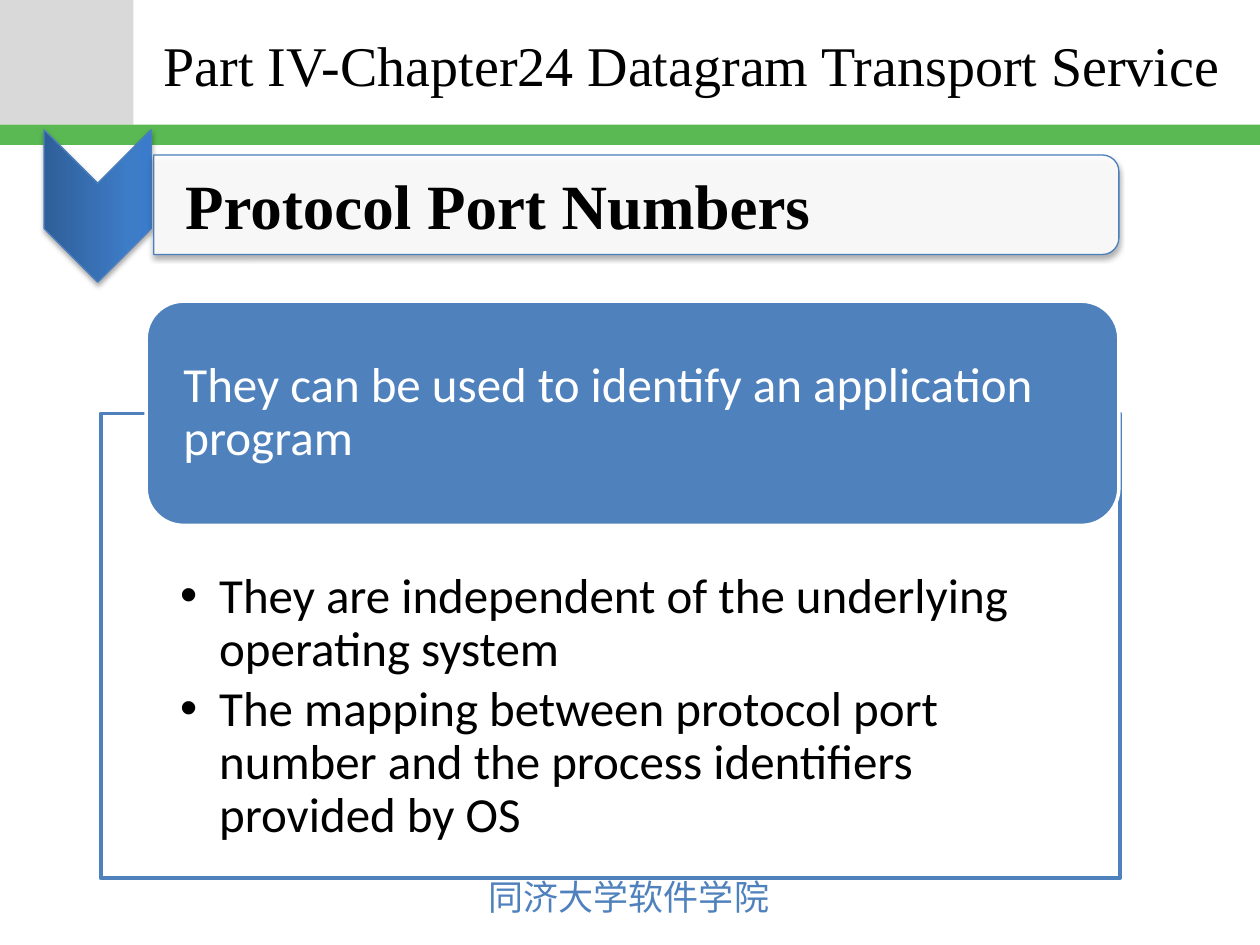
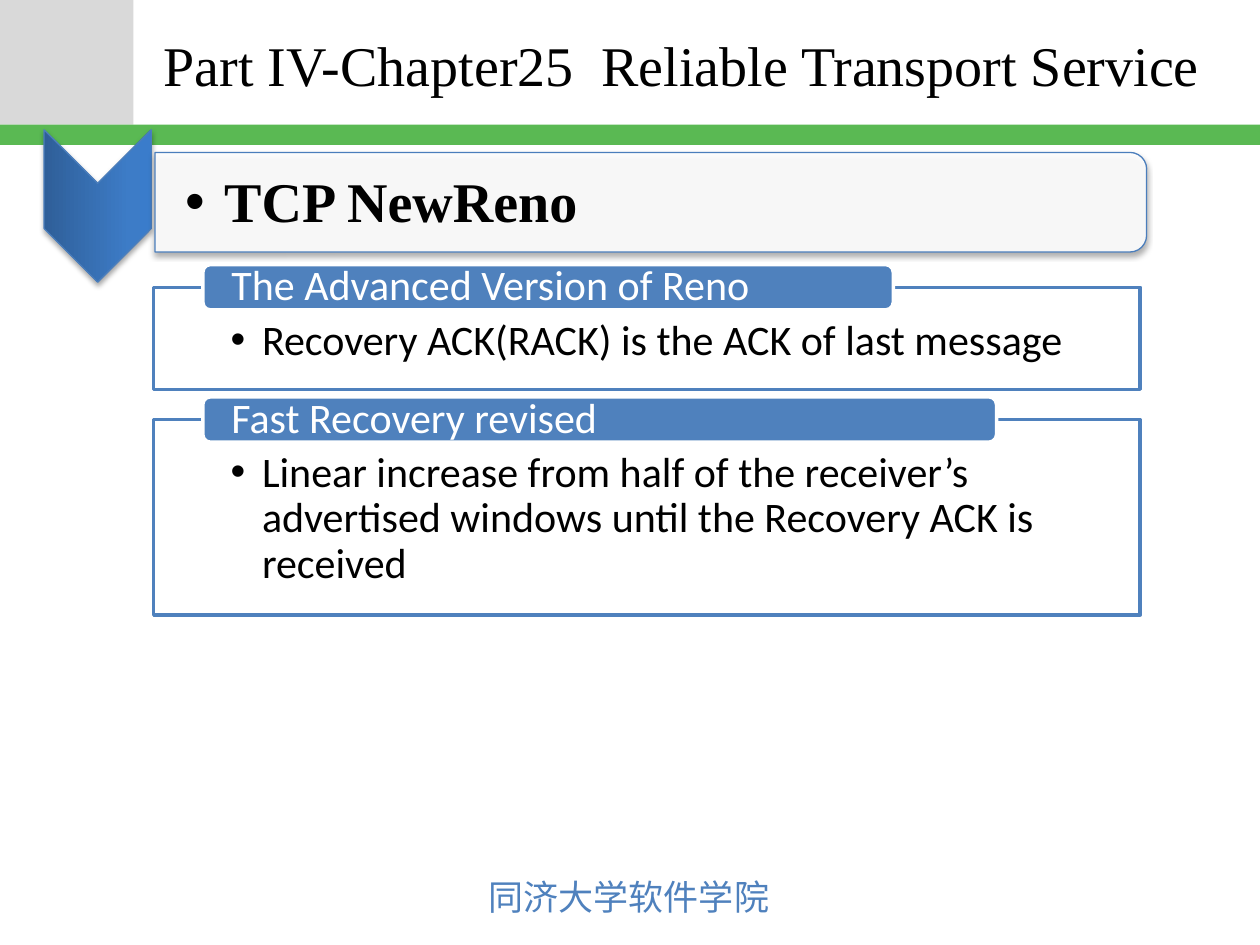
from dataclasses import dataclass

from lxml.etree import SubElement
from pptx import Presentation
from pptx.dml.color import RGBColor
from pptx.enum.shapes import MSO_SHAPE
from pptx.enum.text import MSO_ANCHOR, PP_ALIGN
from pptx.oxml import parse_xml
from pptx.oxml.ns import nsdecls, qn
from pptx.util import Inches, Pt

COLORS = {
    "corner": "D9D9D9",
    "band": "5AB953",
    "accent": "4F81BD",
    "outline": "4B7EBC",
    "white": "FFFFFF",
    "black": "000000",
}
CHEVRON_STOPS = ((0, "2F5F99"), (80, "3D7CC7"), (100, "3A7CCB"))
SERIF, SANS, CJK = "Times New Roman", "Calibri", "Noto Sans CJK JP"
FOOTER = "同济大学软件学院"


@dataclass(frozen=True)
class Box:
    left: float
    top: float
    width: float
    height: float

    def lengths(self):
        return [Inches(v) for v in (self.left, self.top, self.width, self.height)]

    def turned(self) -> "Box":
        """Box that covers this one after a quarter turn about its centre."""
        shift = (self.width - self.height) / 2
        return Box(self.left + shift, self.top - shift, self.height, self.width)


@dataclass(frozen=True)
class TextStyle:
    font: str
    size: float
    color: str = "black"
    bold: bool = False
    insets: tuple = (0.1, 0.05, 0.1, 0.05)
    anchor: MSO_ANCHOR = MSO_ANCHOR.MIDDLE
    hanging: float = 0
    line_spacing: float = 1.0
    space_after: float = 0
    wrap: bool = True


@dataclass(frozen=True)
class Section:
    """A framed bullet list with a heading that overlaps its top edge."""
    heading: str
    bullets: tuple
    heading_box: Box
    frame_box: Box
    frame_insets: tuple
    size: float
    hanging: float


@dataclass(frozen=True)
class Topic:
    title: str
    banner: str
    banner_box: Box
    banner_size: float
    banner_hanging: float
    banner_spacing: float
    sections: tuple


def rgb(name: str) -> RGBColor:
    return RGBColor.from_string(COLORS[name])


def add_bullet(para, hanging: float) -> None:
    props = para._p.get_or_add_pPr()
    props.set("marL", str(Inches(hanging)))
    props.set("indent", str(-Inches(hanging)))
    SubElement(props, qn("a:buFont")).set("typeface", "Arial")
    SubElement(props, qn("a:buChar")).set("char", "•")


def write(shape, lines: tuple, style: TextStyle) -> None:
    frame = shape.text_frame
    frame.word_wrap = style.wrap
    frame.vertical_anchor = style.anchor
    (frame.margin_left, frame.margin_top,
     frame.margin_right, frame.margin_bottom) = map(Inches, style.insets)
    frame.text = "\n".join(lines)
    for para in frame.paragraphs:
        para.alignment = PP_ALIGN.LEFT
        para.line_spacing = style.line_spacing
        para.space_after = Pt(style.space_after)
        if style.hanging:
            add_bullet(para, style.hanging)
        for span in para.runs:
            span.font.name = style.font
            span.font.size = Pt(style.size)
            span.font.bold = style.bold
            span.font.color.rgb = rgb(style.color)
            if style.font == CJK:
                SubElement(span.font._element, qn("a:ea")).set("typeface", CJK)


def add_text(page, box: Box, line: str, style: TextStyle) -> None:
    write(page.shapes.add_textbox(*box.lengths()), (line,), style)


def add_block(page, kind: MSO_SHAPE, box: Box, fill: str | None,
              line: str | None = None, weight: float = 0, opacity: int = 100):
    shape = page.shapes.add_shape(kind, *box.lengths())
    shape.shadow.inherit = False
    if fill:
        shape.fill.solid()
        shape.fill.fore_color.rgb = rgb(fill)
    if opacity < 100:
        color = shape._element.spPr.find(qn("a:solidFill"))[0]
        SubElement(color, qn("a:alpha")).set("val", str(opacity * 1000))
    if line:
        shape.line.color.rgb = rgb(line)
        shape.line.width = Pt(weight)
    else:
        shape.line.fill.background()
    return shape


def add_shadow(shape) -> None:
    effects = shape._element.spPr.find(qn("a:effectLst"))
    effects.append(parse_xml(
        f'<a:outerShdw {nsdecls("a")} blurRad="{Pt(3.1)}" dist="{Pt(1.8)}" '
        f'dir="5400000" rotWithShape="0"><a:srgbClr val="{COLORS["black"]}">'
        '<a:alpha val="35000"/></a:srgbClr></a:outerShdw>'))


def add_turned_block(page, kind: MSO_SHAPE, box: Box, fill: str | None,
                     opacity: int = 100):
    shape = add_block(page, kind, box.turned(), fill, "outline", 0.75, opacity)
    shape.rotation = 90
    add_shadow(shape)
    return shape


def add_chevron(page) -> None:
    chevron = add_turned_block(page, MSO_SHAPE.CHEVRON,
                               Box(0.35, 1.03, 0.85, 1.21), None)
    stops = "".join(f'<a:gs pos="{pos * 1000}"><a:srgbClr val="{color}"/></a:gs>'
                    for pos, color in CHEVRON_STOPS)
    geometry = chevron._element.spPr.find(qn("a:prstGeom"))
    geometry.addnext(parse_xml(
        f'<a:gradFill {nsdecls("a")} rotWithShape="1"><a:gsLst>{stops}</a:gsLst>'
        '<a:lin ang="16200000" scaled="0"/></a:gradFill>'))


def add_page_base(page, title: str) -> None:
    add_block(page, MSO_SHAPE.RECTANGLE, Box(0, 0, 1.06, 0.99), "corner")
    add_block(page, MSO_SHAPE.RECTANGLE, Box(0, 0.99, 10, 0.16), "band")
    add_text(page, Box(3.78, 6.9, 2.45, 0.44), FOOTER,
             TextStyle(CJK, 20, "accent", anchor=MSO_ANCHOR.TOP, wrap=False))
    add_text(page, Box(1.2, 0.02, 8.6, 0.98), title, TextStyle(SERIF, 32))


def add_banner(page, topic: Topic) -> None:
    add_turned_block(page, MSO_SHAPE.ROUND_2_SAME_RECTANGLE, topic.banner_box,
                     "white", 90)
    add_text(page, Box(1.22, 1.27, topic.banner_box.width - 0.04, 0.71), topic.banner,
             TextStyle(SERIF, topic.banner_size, bold=True,
                       insets=(0.25, 0.02, 0.02, 0.02),
                       hanging=topic.banner_hanging,
                       line_spacing=topic.banner_spacing))


def add_section(page, section: Section) -> None:
    frame = add_block(page, MSO_SHAPE.RECTANGLE, section.frame_box,
                      "white", "accent", 2, 90)
    write(frame, section.bullets,
          TextStyle(SANS, section.size, insets=section.frame_insets,
                    anchor=MSO_ANCHOR.TOP, hanging=section.hanging,
                    line_spacing=0.9, space_after=4.5))
    heading = add_block(page, MSO_SHAPE.ROUNDED_RECTANGLE, section.heading_box,
                        "accent", "white", 2)
    write(heading, (section.heading,),
          TextStyle(SANS, section.size, "white", insets=(0.21, 0, 0.21, 0),
                    line_spacing=0.9))


def reno_section(heading: str, bullet: str, top: float, height: float,
                 heading_width: float) -> Section:
    return Section(heading, (bullet,),
                   Box(1.61, top - 0.18, heading_width, 0.36),
                   Box(1.22, top, 7.83, height),
                   (0.61, 0.25, 0.61, 0.19), 24, 0.25)


TOPICS = (
    Topic("Part IV-Chapter24 Datagram Transport Service",
          "Protocol Port Numbers", Box(1.22, 1.23, 7.66, 0.79), 36, 0, 1.0,
          (Section("They can be used to identify an application program",
                   ("They are independent of the underlying operating system",
                    "The mapping between protocol port number and the process "
                    "identifiers provided by OS"),
                   Box(1.16, 2.39, 7.72, 1.78), Box(0.8, 3.28, 8.09, 3.69),
                   (0.63, 1.25, 0.63, 0.22), 28, 0.31),)),
    Topic("Part IV-Chapter25  Reliable Transport Service",
          "TCP NewReno", Box(1.23, 1.21, 7.87, 0.79), 32, 0.31, 0.9,
          (reno_section("The Advanced Version of Reno",
                        "Recovery ACK(RACK) is the ACK of last message",
                        2.28, 0.81, 5.48),
           reno_section("Fast Recovery revised",
                        "Linear increase from half of the receiver’s advertised "
                        "windows until the Recovery ACK is received",
                        3.33, 1.55, 6.3))),
)


def main() -> None:
    deck = Presentation()
    deck.slide_width, deck.slide_height = Inches(10), Inches(7.5)
    for topic in TOPICS:
        page = deck.slides.add_slide(deck.slide_layouts[6])
        add_page_base(page, topic.title)
        add_chevron(page)
        add_banner(page, topic)
        for section in topic.sections:
            add_section(page, section)
    deck.save("out.pptx")


if __name__ == "__main__":
    main()
